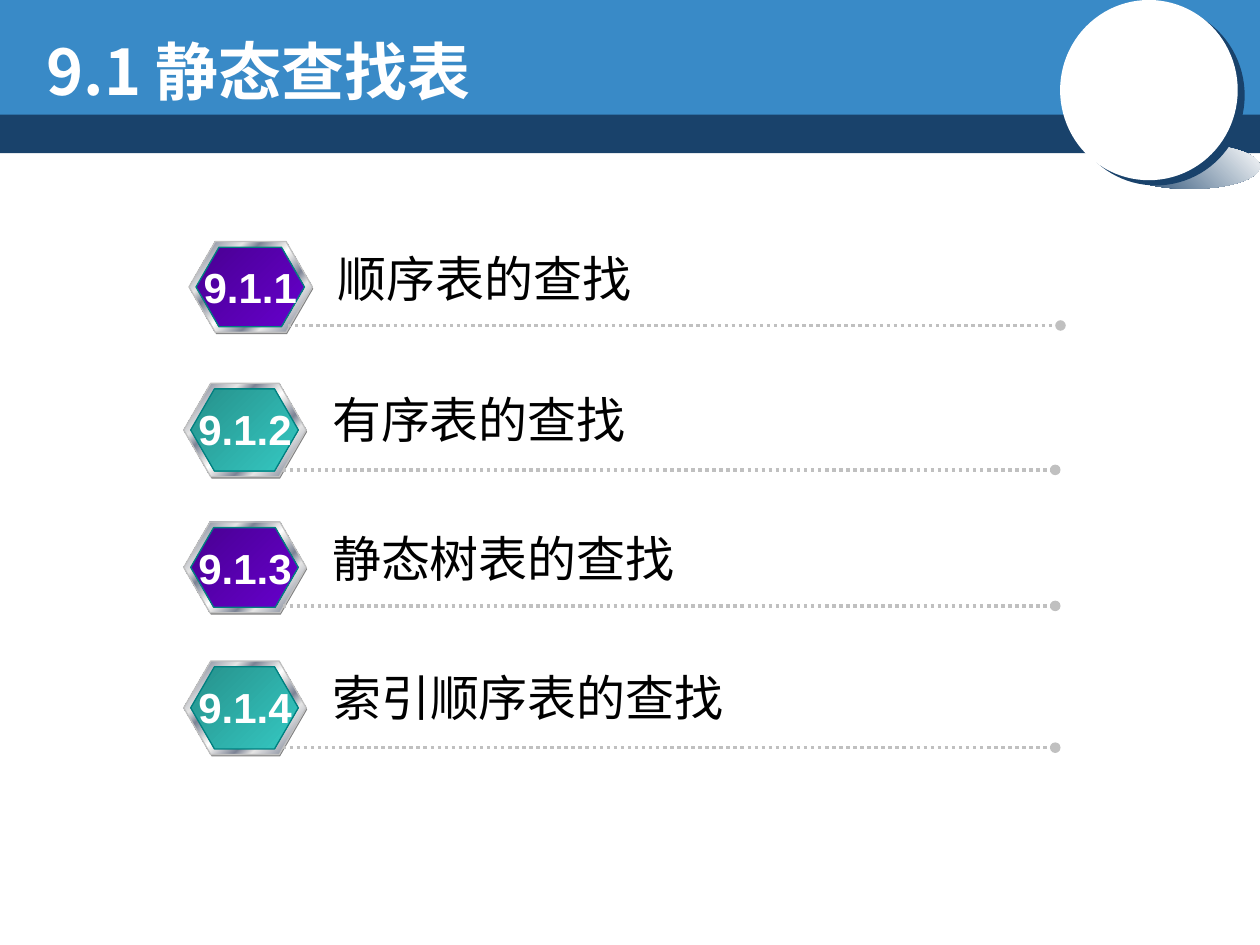
from lxml import etree
from pptx import Presentation, util as u
from pptx.dml.color import RGBColor
from pptx.enum import dml, shapes, text
from pptx.oxml import ns

Pt = u.Pt
SHAPE = shapes.MSO_SHAPE
NAVY = RGBColor(0x19, 0x42, 0x6B)
BLUE = RGBColor(0x39, 0x8A, 0xC7)
WHITE = RGBColor(0xFF, 0xFF, 0xFF)
BLACK = RGBColor(0x00, 0x00, 0x00)
GRAY = RGBColor(0x80, 0x80, 0x80)
SILVER = RGBColor(0xC0, 0xC0, 0xC0)
LIGHT = RGBColor(0xE6, 0xE6, 0xE6)
STEEL = RGBColor(0x7D, 0x84, 0x96)
TEAL = RGBColor(0x00, 0x80, 0x80)

# Gradients: (position in percent, colour)
PURPLE_FACE = [(0, RGBColor(0x49, 0x00, 0x92)), (100, RGBColor(0x66, 0x00, 0xCC))]
TEAL_FACE = [(0, RGBColor(0x26, 0x90, 0x8B)), (100, RGBColor(0x35, 0xC9, 0xC2))]
METAL = [(0, LIGHT), (7, STEEL), (26, LIGHT), (34, STEEL), (46, LIGHT), (50, WHITE),
         (54, LIGHT), (66, STEEL), (74, LIGHT), (93, STEEL), (100, LIGHT)]


def add_xml(parent, tag, **attributes):
    return etree.SubElement(parent, ns.qn(tag), attributes)


class SlideBuilder:
    latin_font = "Arial"
    chinese_font = "Noto Sans CJK SC"

    def __init__(self, slide):
        self.slide = slide
        self.target = slide.shapes

    def start_group(self):
        self.target = self.slide.shapes.add_group_shape().shapes

    def end_group(self):
        self.target = self.slide.shapes

    def shape(self, kind, left, top, width, height, fill, line=None, angle=45):
        shape = self.target.add_shape(kind, Pt(left), Pt(top), Pt(width), Pt(height))
        shape.shadow.inherit = False
        if isinstance(fill, RGBColor):
            shape.fill.solid()
            shape.fill.fore_color.rgb = fill
        else:
            self.gradient(shape, fill, angle)
        if line is None:
            shape.line.fill.background()
        else:
            shape.line.color.rgb = line
            shape.line.width = Pt(0.75)
        return shape

    def gradient(self, shape, stops, angle):
        shape.fill.background()
        properties = shape._element.spPr
        gradient = etree.Element(ns.qn("a:gradFill"), rotWithShape="1")
        stop_list = add_xml(gradient, "a:gsLst")
        for position, color in stops:
            stop = add_xml(stop_list, "a:gs", pos=str(position * 1000))
            add_xml(stop, "a:srgbClr", val=str(color))
        add_xml(gradient, "a:lin", ang=str(angle * 60000), scaled="1")
        properties.replace(properties.find(ns.qn("a:noFill")), gradient)

    def drop_shadow(self, shape, color, distance, angle):
        effects = shape._element.spPr.find(ns.qn("a:effectLst"))
        shadow = add_xml(effects, "a:outerShdw", blurRad="0", dist=str(Pt(distance)),
                         dir=str(angle * 60000), algn="ctr", rotWithShape="0")
        add_xml(shadow, "a:srgbClr", val=str(color))

    def hexagon(self, left, top, width, height, fill, line=None):
        shape = self.shape(SHAPE.HEXAGON, left, top, width, height, fill, line)
        shape.adjustments[0] = 0.289

    def dotted_line(self, left, right, y):
        line = self.target.add_connector(
            shapes.MSO_CONNECTOR.STRAIGHT, Pt(left), Pt(y), Pt(right), Pt(y))
        line.line.color.rgb = SILVER
        line.line.width = Pt(2)
        line.line.dash_style = dml.MSO_LINE.ROUND_DOT
        add_xml(line.line._get_or_add_ln(), "a:tailEnd", type="oval")
        add_xml(line._element.spPr, "a:effectLst")

    def text(self, left, top, width, height, words, size, color, bold=False,
             font=latin_font, align=text.PP_ALIGN.LEFT, wrap=False):
        box = self.target.add_textbox(Pt(left), Pt(top), Pt(width), Pt(height))
        frame = box.text_frame
        frame.word_wrap = wrap
        frame.auto_size = text.MSO_AUTO_SIZE.SHAPE_TO_FIT_TEXT
        paragraph = frame.paragraphs[0]
        paragraph.alignment = align
        run = paragraph.add_run()
        run.text = words
        run.font.size = Pt(size)
        run.font.bold = bold
        run.font.color.rgb = color
        run.font.name = font
        add_xml(run.font._element, "a:ea", typeface=self.chinese_font)

    def item(self, left, top, width, height, face, number, label):
        self.start_group()
        self.hexagon(left + 0.5, top + 1, width, height, GRAY)
        self.hexagon(left, top, width, height, METAL, SILVER)
        self.hexagon(left + 4, top + 3.25, width - 8.5, height - 6.5, face, TEAL)
        self.dotted_line(left + 56.5, left + 498, top + height - 4)
        self.text(left + 77.75, top + 0.25, 28 * len(label) + 15, 41, label, 28, BLACK)
        self.text(left - 0.5, top + 8, 71, 36, number, 24, WHITE,
                  bold=True, align=text.PP_ALIGN.CENTER)
        self.end_group()


def main():
    presentation = Presentation()
    presentation.slide_width, presentation.slide_height = Pt(720), Pt(540)
    builder = SlideBuilder(presentation.slides.add_slide(presentation.slide_layouts[6]))

    # Header bands
    builder.shape(SHAPE.RECTANGLE, 0, 62.5, 720, 25, NAVY)
    builder.shape(SHAPE.RECTANGLE, 0, 0, 720, 65.5, BLUE)

    # White disc with its cast shadow
    builder.start_group()
    builder.shape(SHAPE.OVAL, 640, 82.25, 80, 25.75, [(0, NAVY), (100, WHITE)], angle=315)
    disc = builder.shape(SHAPE.OVAL, 605.75, 0, 101.5, 103, WHITE)
    builder.drop_shadow(disc, NAVY, 5, 37)
    builder.shape(SHAPE.OVAL, 639.5, 36, 36, 35.5, WHITE)
    builder.end_group()

    # Section list
    items = [
        (108, 138, 70.5, 52, "顺序表的查找"),
        (105, 219, 70, 53.5, "有序表的查找"),
        (105, 298.25, 70, 52, "静态树表的查找"),
        (105, 377.75, 70, 53.5, "索引顺序表的查找"),
    ]
    for index, (left, top, width, height, label) in enumerate(items):
        face = TEAL_FACE if index % 2 else PURPLE_FACE
        builder.item(left, top, width, height, face, f"9.1.{index + 1}", label)

    # Title
    builder.text(19.5, 15, 494, 50.5, "9.1 静态查找表", 36, WHITE,
                 bold=True, font=builder.chinese_font, wrap=True)

    presentation.save("out.pptx")


if __name__ == "__main__":
    main()
